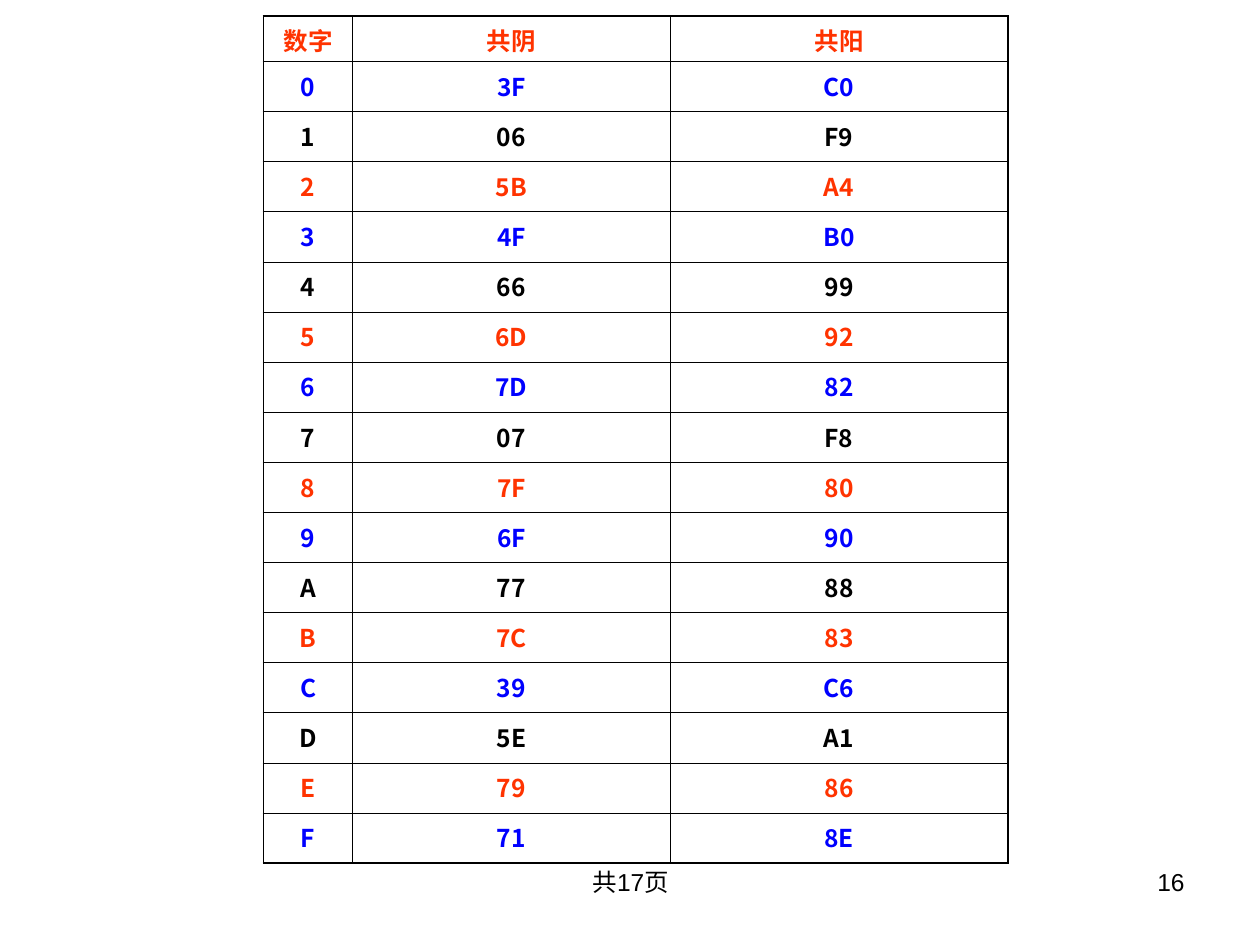
import pptx
import pptx.dml.color
import pptx.enum.text
import pptx.oxml
import pptx.oxml.ns
import pptx.util

Cm = pptx.util.Cm
Pt = pptx.util.Pt
ALIGN = pptx.enum.text.PP_ALIGN

COLORS = {"red": "FF3300", "blue": "0000FF", "black": "000000"}
ROW_CYCLE = ["red", "blue", "black"]
LATIN_FONT = "Arial"
CJK_FONT = "Noto Sans CJK SC"
THIN, THICK = Pt(0.45), Pt(1.08)

HEADINGS = ["数字", "共阴", "共阳"]
DIGITS = "0123456789ABCDEF"
CATHODE_CODES = "3F 06 5B 4F 66 6D 7D 07 7F 6F 77 7C 39 5E 79 71".split()
ANODE_CODES = "C0 F9 A4 B0 99 92 82 F8 80 90 88 83 C6 A1 86 8E".split()


def write(paragraph, text, font, color, align, bold=False):
    paragraph.alignment = align
    run = paragraph.add_run()
    run.text = text
    run.font.name = font
    run.font.size = Pt(14)
    run.font.bold = bold
    run.font.color.rgb = pptx.dml.color.RGBColor.from_string(COLORS[color])
    east_asian = pptx.oxml.parse_xml(
        f'<a:ea {pptx.oxml.ns.nsdecls("a")} typeface="{CJK_FONT}"/>')
    run.font._element.find(pptx.oxml.ns.qn("a:latin")).addnext(east_asian)


def set_borders(cell, widths):
    properties = cell._tc.get_or_add_tcPr()
    for position, (side, width) in enumerate(widths.items()):
        border = pptx.oxml.parse_xml(
            f'<a:ln{side} {pptx.oxml.ns.nsdecls("a")} w="{int(width)}">'
            f'<a:solidFill><a:srgbClr val="{COLORS["black"]}"/></a:solidFill>'
            f'</a:ln{side}>')
        properties.insert(position, border)


def add_code_table(slide, left, top, column_widths, header_height, row_height):
    rows = [HEADINGS, *zip(DIGITS, CATHODE_CODES, ANODE_CODES)]
    last_row, last_column = len(rows) - 1, len(HEADINGS) - 1
    height = header_height + row_height * last_row
    codes = slide.shapes.add_table(
        len(rows), len(HEADINGS), left, top, sum(column_widths), height).table
    codes.first_row = False
    codes.horz_banding = False
    for column, width in zip(codes.columns, column_widths):
        column.width = width
    for r, values in enumerate(rows):
        codes.rows[r].height = row_height if r else header_height
        for c, value in enumerate(values):
            cell = codes.cell(r, c)
            cell.fill.background()
            set_borders(cell, {
                "L": THICK if c == 0 else THIN,
                "R": THICK if c == last_column else THIN,
                "T": THICK if r == 0 else THIN,
                "B": THICK if r == last_row else THIN,
            })
            paragraph = cell.text_frame.paragraphs[0]
            paragraph.space_before = Pt(3.5)
            write(paragraph, value, CJK_FONT, ROW_CYCLE[r % len(ROW_CYCLE)],
                  ALIGN.CENTER, bold=True)


def add_footer(slide, left, top, width, height, text, align):
    footer = slide.shapes.add_textbox(left, top, width, height).text_frame
    footer.word_wrap = True
    write(footer.paragraphs[0], text, LATIN_FONT, "black", align)


def main():
    deck = pptx.Presentation()
    deck.slide_width, deck.slide_height = Cm(25.4), Cm(19.05)
    slide = deck.slides.add_slide(deck.slide_layouts[6])
    add_footer(slide, Cm(8.69), Cm(17.35), Cm(8.05), Cm(1.32),
               "共17页", ALIGN.CENTER)
    add_footer(slide, Cm(18.21), Cm(17.35), Cm(5.92), Cm(1.32),
               "16", ALIGN.RIGHT)
    add_code_table(slide, Cm(5.31), Cm(0.32), [Cm(1.8), Cm(6.4), Cm(6.81)],
                   Cm(0.92), Cm(1.01))
    deck.save("out.pptx")


if __name__ == "__main__":
    main()
